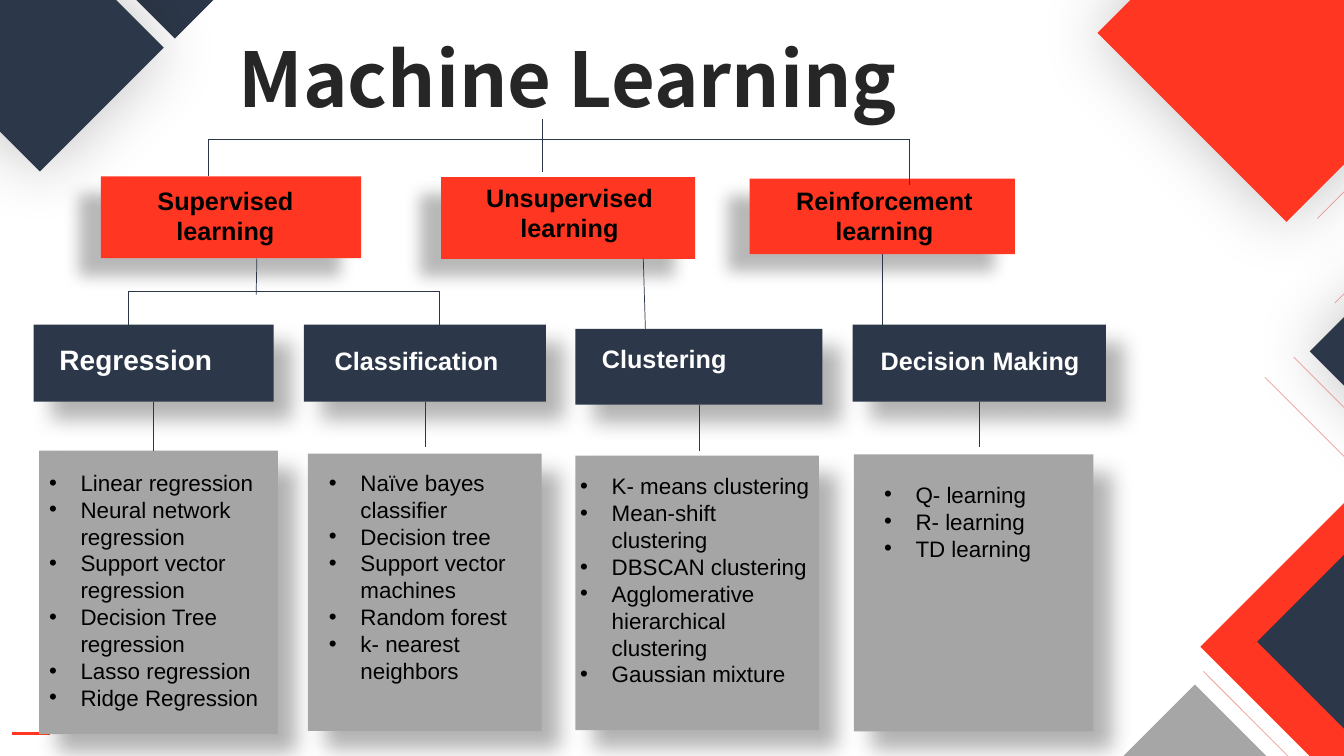
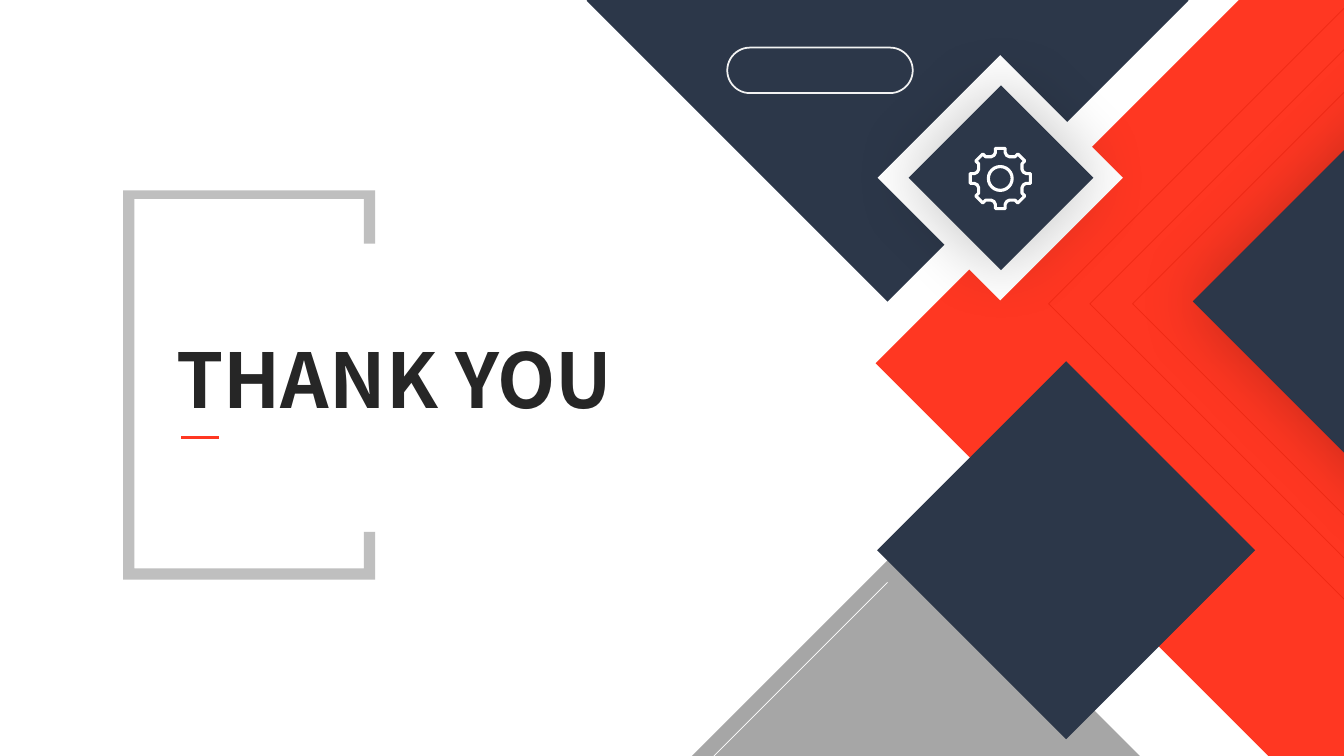
from dataclasses import dataclass
from math import cos, radians, sin

from lxml import etree
from pptx import Presentation
from pptx.dml.color import RGBColor
from pptx.enum import shapes, text
from pptx.oxml.ns import qn
from pptx.util import Pt


@dataclass(frozen=True)
class Theme:
    navy: str = "2C3749"
    red: str = "FF3722"
    gray: str = "A6A6A6"
    panel: str = "A5A5A5"
    bracket: str = "BFBFBF"
    pill: str = "F2F2F2"
    white: str = "FFFFFF"
    black: str = "000000"
    ink: str = "262626"
    stripe: str = "D91500"
    title_font: str = "Noto Sans CJK SC"
    body_font: str = "Arial"
    title_size: int = 54
    large_size: int = 20
    label_size: int = 18
    list_size: int = 16
    hairline: float = 0.5
    accent_line: float = 2.25
    glow: tuple = (23, 49, 0, 0)
    left_shadow: tuple = (28, 11.8, 19.7, 141)
    right_shadow: tuple = (30, 15, 18, 45)


THEME = Theme()
WIDTH, HEIGHT = 960, 540
ACCENT_LENGTH = 27
BULLET_INDENT = 22.5

TREE_DIAMONDS = [
    (-235.5, -477.5, 577, THEME.navy, None),
    (857.5, -82, 1088, THEME.red, None),
    (499.5, 489, 708, THEME.gray, None),
    (935.5, -103, 708, THEME.navy, THEME.glow),
    (898, 277, 363, THEME.navy, None),
    (-82, -62, 234.5, THEME.white, None),
    (-60, -54.5, 177, THEME.navy, THEME.glow),
    (784, -111.5, 270, THEME.red, THEME.glow),
]
TREE_STRIPES = [
    (859.5, 479.5, 1), (924, 255, 1), (903.5, 269.5, 1),
    (953.5, 216.5, -1), (941, 156, -1),
]
CLOSING_DIAMONDS = [
    (419, -214.5, 430, THEME.navy, None),
    (625.5, -145.5, 810, THEME.red, None),
    (391, 380, 526.5, THEME.gray, None),
    (852, -48, 526.5, THEME.navy, THEME.glow),
    (626.5, 258, 270, THEME.navy, None),
    (627, 39.5, 175, THEME.white, None),
    (649, 61, 132, THEME.navy, THEME.glow),
]
CLOSING_STRIPES = [(x, 217, way) for way in (1, -1) for x in (749, 778.5, 809)]

BRANCHES = [
    ((72, 126, 186, 58.5), (14, 6.5, 22), ["Supervised learning"]),
    ((315, 126.5, 181.5, 58.5), (16, 3.5, 14), ["Unsupervised", "learning"]),
    ((535.5, 127.5, 189.5, 54), (18, 5, 15), ["Reinforcement", "learning"]),
]
FAMILIES = [
    {
        "name": "Regression", "size": THEME.large_size,
        "head": (24, 232, 171.5, 55), "head_inset": (18.5, 13, 0),
        "panel": (28, 322, 170.5, 202.5), "panel_inset": (7, 13, 3),
        "stem_end": 322,
        "methods": ["Linear regression", "Neural network regression",
                    "Support vector regression", "Decision Tree regression",
                    "Lasso regression", "Ridge Regression"],
    },
    {
        "name": "Classification", "size": THEME.label_size,
        "head": (217, 232, 173, 55), "head_inset": (22, 15, 0),
        "panel": (220, 324, 167, 198), "panel_inset": (15, 11, 19),
        "stem_end": 319,
        "methods": ["Naïve bayes classifier", "Decision tree",
                    "Support vector machines", "Random forest",
                    "k- nearest neighbors"],
    },
    {
        "name": "Clustering", "size": THEME.label_size,
        "head": (411, 235, 176.5, 54), "head_inset": (19, 10, 0),
        "panel": (411, 325.5, 174, 196), "panel_inset": (3.5, 12, 5),
        "stem_end": 322,
        "methods": ["K- means clustering", "Mean-shift clustering",
                    "DBSCAN clustering", "Agglomerative hierarchical clustering",
                    "Gaussian mixture"],
    },
    {
        "name": "Decision Making", "size": THEME.label_size,
        "head": (609, 232, 181, 55), "head_inset": (20, 14.5, 0),
        "panel": (610, 324.5, 171, 198), "panel_inset": (21.5, 19, 3),
        "stem_end": 319,
        "methods": ["Q- learning", "R- learning", "TD learning"],
    },
]
TREE_LINES = [
    ((148.5, 99.5), (649.5, 99.5)),
    ((387.5, 85), (387.5, 123)),
    ((148.5, 99.5), (148.5, 125.5)),
    ((649.5, 99.5), (649.5, 132.5)),
    ((91.5, 208), (314, 208)),
    ((91.5, 208), (91.5, 232)),
    ((314, 208), (314, 232)),
    ((183.5, 184.5), (183, 210.5)),
    ((459.5, 184.5), (461, 235)),
]
BRACKET = [
    (88, 135.5), (268.5, 135.5), (268.5, 174.5), (260.5, 174.5),
    (260.5, 142.5), (95.5, 142.5), (95.5, 406.5), (260.5, 406.5),
    (260.5, 380), (268.5, 380), (268.5, 414), (88, 414),
]
GEAR_CENTER = (714.5, 127.5)
GEAR_TEETH = 8
GEAR_TOOTH = [(-9, 21.3), (9, 21.3), (12, 18.5), (17, 17),
              (22.5, 16.5), (28, 17), (33, 18.5)]
GEAR_HOLE = 8.5
GEAR_LINE = 2.25


def rgb(color):
    return RGBColor.from_string(color)


def add_alpha(color_element, percent):
    etree.SubElement(color_element, qn("a:alpha"), val=str(percent * 1000))


def style(shape, fill=None, line=None, weight=1, shadow=None):
    shape.shadow.inherit = False
    if fill:
        shape.fill.solid()
        shape.fill.fore_color.rgb = rgb(fill)
    else:
        shape.fill.background()
    if line:
        shape.line.color.rgb = rgb(line)
        shape.line.width = Pt(weight)
    else:
        shape.line.fill.background()
    if shadow:
        alpha, blur, distance, angle = shadow
        effects = shape.element.spPr.find(qn("a:effectLst"))
        outer = etree.SubElement(
            effects, qn("a:outerShdw"), blurRad=str(Pt(blur)),
            dist=str(Pt(distance)), dir=str(angle * 60000), rotWithShape="0")
        color = etree.SubElement(outer, qn("a:srgbClr"), val=THEME.black)
        add_alpha(color, alpha)


def add_shape(slide, kind, box, **look):
    shape = slide.shapes.add_shape(kind, *map(Pt, box))
    style(shape, **look)
    return shape


def add_outline(slide, points, **look):
    builder = slide.shapes.build_freeform(*points[0], scale=Pt(1))
    builder.add_line_segments(points[1:], close=True)
    style(builder.convert_to_shape(), **look)


def add_line(slide, start, end, color, weight=THEME.hairline, alpha=None):
    line = slide.shapes.add_connector(
        shapes.MSO_CONNECTOR.STRAIGHT, *map(Pt, (*start, *end)))
    line.line.color.rgb = rgb(color)
    line.line.width = Pt(weight)
    properties = line.element.spPr
    if alpha:
        add_alpha(next(properties.iter(qn("a:srgbClr"))), alpha)
    etree.SubElement(properties, qn("a:effectLst"))
    return line


def add_bullet(paragraph):
    properties = paragraph._p.get_or_add_pPr()
    properties.set("marL", str(Pt(BULLET_INDENT)))
    properties.set("indent", str(-Pt(BULLET_INDENT)))
    etree.SubElement(properties, qn("a:buFont"), typeface=THEME.body_font)
    etree.SubElement(properties, qn("a:buChar"), char="•")


def write(shape, lines, size, color, bold=True, font=THEME.body_font,
          align=text.PP_ALIGN.LEFT, bullets=False):
    frame = shape.text_frame
    frame.word_wrap = True
    frame.vertical_anchor = text.MSO_ANCHOR.TOP
    for index, line in enumerate(lines):
        paragraph = frame.add_paragraph() if index else frame.paragraphs[0]
        paragraph.alignment = align
        if bullets:
            add_bullet(paragraph)
        run = paragraph.add_run()
        run.text = line
        run.font.name = font
        run.font.size = Pt(size)
        run.font.bold = bold
        run.font.color.rgb = rgb(color)


def add_card(slide, box, inset, lines, size, color, fill, shadow, **text_look):
    card = add_shape(slide, shapes.MSO_SHAPE.RECTANGLE, box, fill=fill, shadow=shadow)
    frame = card.text_frame
    frame.margin_left, frame.margin_top, frame.margin_right = map(Pt, inset)
    frame.margin_bottom = 0
    write(card, lines, size, color, **text_look)
    return card


def add_title(slide, title, box, accent):
    write(slide.shapes.add_textbox(*map(Pt, box)), [title], THEME.title_size,
          THEME.ink, font=THEME.title_font)
    x, y = accent
    add_line(slide, accent, (x + ACCENT_LENGTH, y), THEME.red, THEME.accent_line)


def add_decor(slide, diamonds, stripes):
    for left, top, size, fill, shadow in diamonds:
        add_shape(slide, shapes.MSO_SHAPE.DIAMOND, (left, top, size, size),
                  fill=fill, shadow=shadow)
    for x, y, way in stripes:
        add_line(slide, (x, y), (WIDTH, y + way * (WIDTH - x)), THEME.stripe, alpha=40)


def add_gear(slide):
    x, y = GEAR_CENTER
    points = []
    for tooth in range(GEAR_TEETH):
        for offset, radius in GEAR_TOOTH:
            angle = radians(tooth * 360 / GEAR_TEETH + offset)
            points.append((x + radius * cos(angle), y + radius * sin(angle)))
    add_outline(slide, points, line=THEME.white, weight=GEAR_LINE)
    hole = (x - GEAR_HOLE, y - GEAR_HOLE, 2 * GEAR_HOLE, 2 * GEAR_HOLE)
    add_shape(slide, shapes.MSO_SHAPE.OVAL, hole, line=THEME.white, weight=GEAR_LINE)


def build_tree(slide):
    add_decor(slide, TREE_DIAMONDS, TREE_STRIPES)
    add_title(slide, "Machine Learning", (163.5, 19.5, 546, 72.5), (8.5, 524))
    branches = [
        add_card(slide, box, inset, lines, THEME.label_size, THEME.black,
                 THEME.red, THEME.left_shadow, align=text.PP_ALIGN.CENTER)
        for box, inset, lines in BRANCHES
    ]
    for family in FAMILIES:
        head = add_card(slide, family["head"], family["head_inset"], [family["name"]],
                        family["size"], THEME.white, THEME.navy, THEME.right_shadow)
        add_card(slide, family["panel"], family["panel_inset"], family["methods"],
                 THEME.list_size, THEME.black, THEME.panel, THEME.right_shadow,
                 bold=False, bullets=True)
        left, top, width, height = family["head"]
        middle = left + width / 2
        stem = add_line(slide, (middle, top + height), (middle, family["stem_end"]),
                        THEME.navy)
        stem.begin_connect(head, 2)
    for start, end in TREE_LINES:
        add_line(slide, start, end, THEME.navy)
    left, top, width, height = BRANCHES[-1][0]
    middle = left + width / 2
    link = add_line(slide, (middle, top + height), (middle, FAMILIES[-1]["head"][1]),
                    THEME.navy)
    link.begin_connect(branches[-1], 2)


def build_closing(slide):
    add_decor(slide, CLOSING_DIAMONDS, CLOSING_STRIPES)
    add_line(slide, (510, HEIGHT), (634, 416), THEME.white)
    add_gear(slide)
    add_outline(slide, BRACKET, fill=THEME.bracket)
    add_title(slide, "THANK YOU", (119, 234.5, 445, 72.5), (129.5, 312.5))
    pill = add_shape(slide, shapes.MSO_SHAPE.ROUNDED_RECTANGLE,
                     (519.5, 34, 132.5, 32.5), line=THEME.pill, weight=1.25)
    pill.adjustments[0] = 0.5


def main():
    presentation = Presentation()
    presentation.slide_width = Pt(WIDTH)
    presentation.slide_height = Pt(HEIGHT)
    for build in (build_tree, build_closing):
        build(presentation.slides.add_slide(presentation.slide_layouts[6]))
    presentation.save("out.pptx")


if __name__ == "__main__":
    main()
